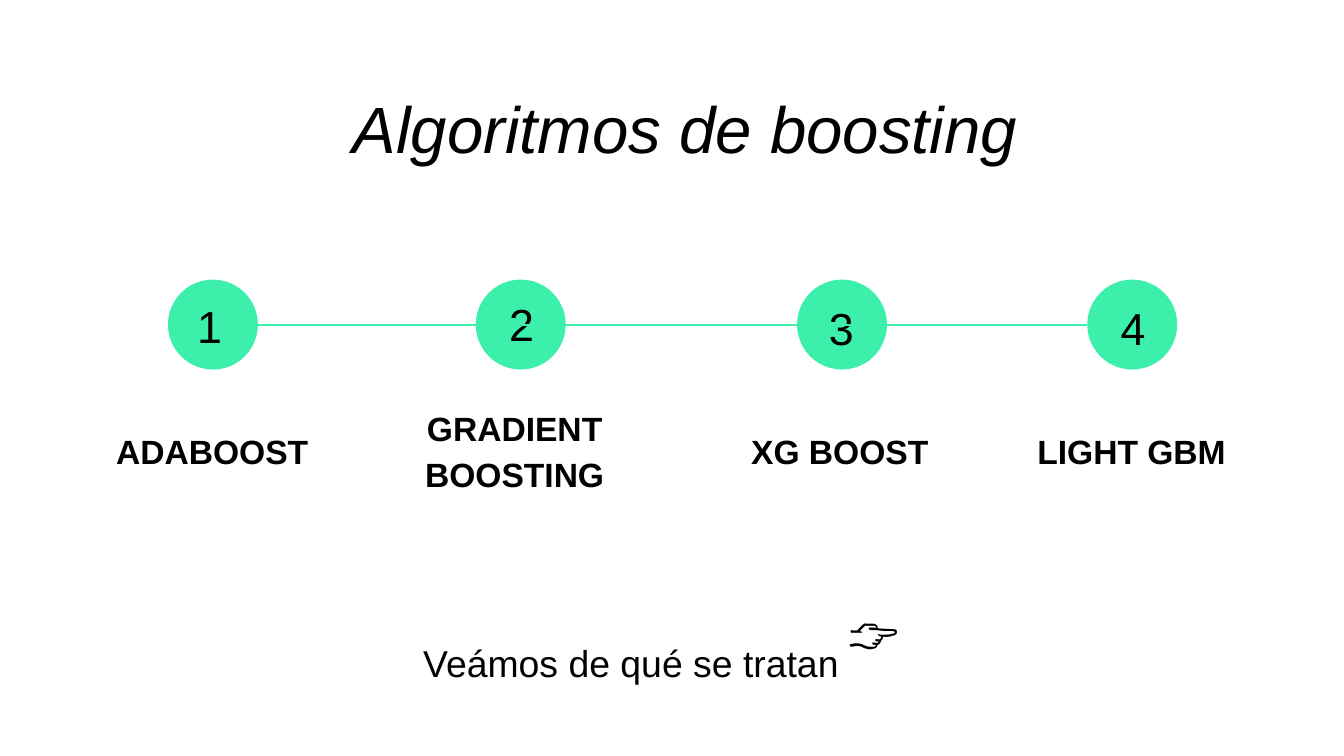
"""Build a slide with a four-step timeline of boosting algorithms."""
from dataclasses import dataclass

import pptx
import pptx.dml.color
import pptx.enum.shapes
import pptx.enum.text
import pptx.oxml
import pptx.slide
import pptx.text.text
import pptx.util

Pt = pptx.util.Pt
Align = pptx.enum.text.PP_ALIGN
Anchor = pptx.enum.text.MSO_ANCHOR

GREEN = "3CEFAB"
BLACK = "000000"
DIAMETER = 48.2
CIRCLE_TOP = 149.8
RAIL_Y = 174.2
LABEL_TOP, LABEL_WIDTH, LABEL_HEIGHT = 198, 162.7, 84.2
NUMBER_WIDTH, NUMBER_HEIGHT = 21.6, 28.8


@dataclass(frozen=True)
class Step:
    """A numbered stop on the timeline, in points."""
    name: str
    circle_left: float
    number_left: float
    number_top: float
    label_left: float


STEPS = [
    Step("ADABOOST", 90, 98.6, 152.6, 32.4),
    Step("GRADIENT BOOSTING", 254.9, 265.7, 151.9, 194.4),
    Step("XG BOOST", 427, 437, 154.1, 368.6),
    Step("LIGHT GBM", 582.5, 593.3, 154.1, 524.9),
]


def color(value: str) -> pptx.dml.color.RGBColor:
    """Turn a hex string into a colour."""
    return pptx.dml.color.RGBColor.from_string(value)


def style_paragraph(para: pptx.text.text._Paragraph, size: float,
                    bold: bool = False, italic: bool = False) -> None:
    """Set the font of a whole paragraph."""
    para.font.name = "Arial"
    para.font.size = Pt(size)
    para.font.bold = bold
    para.font.italic = italic
    para.font.color.rgb = color(BLACK)


def add_text(page: pptx.slide.Slide, text: str, left: float, top: float,
             width: float, height: float, size: float, bold: bool = False,
             align: Align = Align.LEFT, anchor: Anchor = Anchor.TOP,
             spacing: float = 1.0) -> None:
    """Add a wrapped text box with even margins."""
    box = page.shapes.add_textbox(Pt(left), Pt(top), Pt(width), Pt(height))
    frame = box.text_frame
    frame.word_wrap = True
    frame.vertical_anchor = anchor
    frame.margin_left = frame.margin_right = Pt(7.2)
    frame.margin_top = frame.margin_bottom = Pt(7.2)
    para = frame.paragraphs[0]
    para.text = text
    para.alignment = align
    para.line_spacing = spacing
    style_paragraph(para, size, bold=bold)


def add_title(page: pptx.slide.Slide, text: str) -> None:
    """Place and format the title placeholder."""
    title = page.shapes.title
    title.left, title.top = Pt(38.9), Pt(46.1)
    title.width, title.height = Pt(656.6), Pt(43.2)
    frame = title.text_frame
    frame.text = text
    frame.word_wrap = True
    frame.vertical_anchor = Anchor.TOP
    frame.margin_left = frame.margin_right = frame.margin_bottom = 0
    frame.margin_top = Pt(0.9)
    para = frame.paragraphs[0]
    para.alignment = Align.CENTER
    style_paragraph(para, 35, italic=True)


def add_rail(page: pptx.slide.Slide, start: float, end: float) -> None:
    """Add a horizontal timeline segment."""
    rail = page.shapes.add_connector(
        pptx.enum.shapes.MSO_CONNECTOR.STRAIGHT,
        Pt(start), Pt(RAIL_Y), Pt(end), Pt(RAIL_Y))
    rail.line.color.rgb = color(GREEN)
    rail.line.width = Pt(0.75)
    rail._element.spPr.append(pptx.oxml.parse_xml(
        '<a:effectLst xmlns:a="http://schemas.openxmlformats.org/drawingml/2006/main"/>'))


def add_step(page: pptx.slide.Slide, number: int, step: Step) -> None:
    """Add a step's circle, number and label."""
    circle = page.shapes.add_shape(
        pptx.enum.shapes.MSO_SHAPE.OVAL, Pt(step.circle_left), Pt(CIRCLE_TOP),
        Pt(DIAMETER), Pt(DIAMETER))
    circle.shadow.inherit = False
    circle.fill.solid()
    circle.fill.fore_color.rgb = color(GREEN)
    circle.line.fill.background()
    add_text(page, str(number), step.number_left, step.number_top,
             NUMBER_WIDTH, NUMBER_HEIGHT, 24)
    add_text(page, step.name, step.label_left, LABEL_TOP, LABEL_WIDTH, LABEL_HEIGHT,
             18, bold=True, align=Align.CENTER, anchor=Anchor.MIDDLE, spacing=1.15)


def main() -> None:
    """Build and save the deck."""
    deck = pptx.Presentation()
    deck.slide_width, deck.slide_height = Pt(720), Pt(405)
    page = deck.slides.add_slide(deck.slide_layouts.get_by_name("Title Only"))
    add_title(page, "Algoritmos de boosting")

    first, second, third, last = STEPS
    add_rail(page, first.circle_left + DIAMETER, third.circle_left)
    for number, step in enumerate(STEPS, start=1):
        if step is last:
            add_rail(page, second.circle_left + DIAMETER / 2, last.circle_left)
        add_step(page, number, step)

    add_text(page, "Veámos de qué se tratan", 219.6, 324, 310.3, 38.9, 20,
             align=Align.JUSTIFY, spacing=1.5)
    add_text(page, "👉", 447.1, 315.4, 53.3, 47.5, 27)
    deck.save("out.pptx")


if __name__ == "__main__":
    main()
